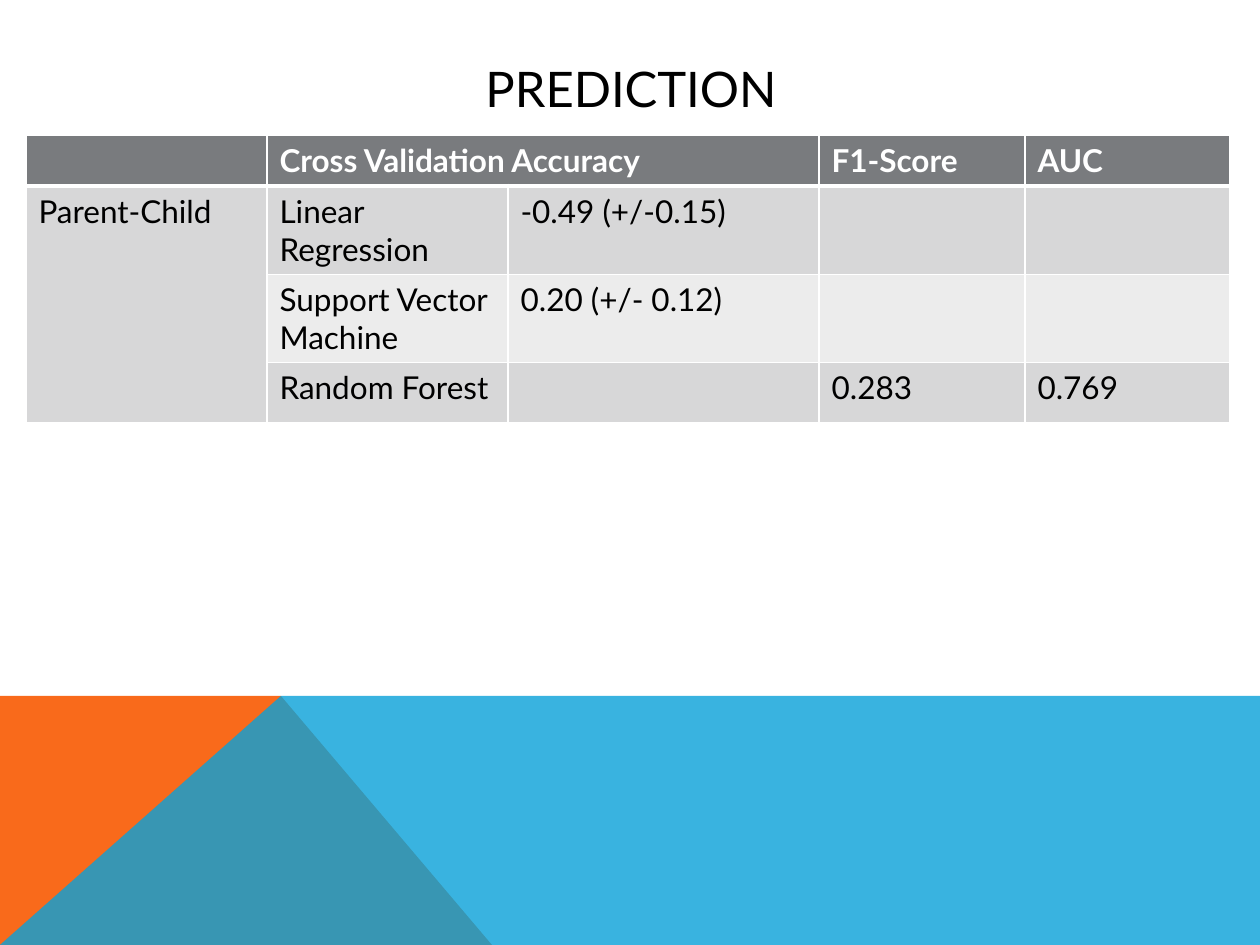
from lxml.etree import SubElement
from pptx import Presentation
from pptx.dml.color import RGBColor
from pptx.enum.text import MSO_ANCHOR, PP_ALIGN
from pptx.oxml.ns import qn
from pptx.util import Emu, Pt

SCALE = 914400 / 126
FONT = "Lato"
BLACK = RGBColor(0x00, 0x00, 0x00)
WHITE = RGBColor(0xFF, 0xFF, 0xFF)
ORANGE = RGBColor(0xF9, 0x6A, 0x1B)
BLUE = RGBColor(0x08, 0xA1, 0xD9)
HEADER = RGBColor(0x79, 0x7B, 0x7E)
BANDS = [RGBColor(0xD7, 0xD7, 0xD8), RGBColor(0xEC, 0xEC, 0xEC)]

TITLE = "PREDICTION"
TITLE_BOX = (113, 50, 1036, 76)
ROWS = [
    ["", "Cross Validation Accuracy", "", "F1-Score", "AUC"],
    ["Parent-Child", "Linear Regression", "-0.49 (+/-0.15)", "", ""],
    ["", "Support Vector Machine", "0.20 (+/- 0.12)", "", ""],
    ["", "Random Forest", "", "0.283", "0.769"],
]
MERGES = [((0, 1), (0, 2)), ((1, 0), (3, 0))]
TABLE_CORNER = (26, 135)
COLUMN_WIDTHS = [241, 241, 311, 206, 205]
ROW_HEIGHTS = [50, 88, 88, 60]
WEDGES = [
    ([(0, 945), (0, 696), (281, 696), (492, 945)], ORANGE, 100),
    ([(0, 945), (281, 696), (1260, 696), (1260, 945)], BLUE, 80),
]


def px(value):
    return Emu(round(value * SCALE))


def write(frame, text, size=18, color=BLACK, bold=False, align=PP_ALIGN.LEFT):
    para = frame.paragraphs[0]
    para.alignment = align
    span = para.add_run()
    span.text = text
    span.font.name = FONT
    span.font.size = Pt(size)
    span.font.bold = bold
    span.font.color.rgb = color


def draw_wedge(page, points, color, opacity):
    builder = page.shapes.build_freeform(*points[0], scale=SCALE)
    builder.add_line_segments(points[1:], close=True)
    wedge = builder.convert_to_shape()
    wedge.shadow.inherit = False
    wedge.line.fill.background()
    wedge.fill.solid()
    wedge.fill.fore_color.rgb = color
    if opacity < 100:
        tint = wedge.fill._xPr.find(qn("a:solidFill"))[0]
        SubElement(tint, qn("a:alpha"), val=str(opacity * 1000))


def style_cell(cell, color, bottom):
    properties = cell._tc.get_or_add_tcPr()
    for side, width in (("L", 1), ("R", 1), ("T", 1), ("B", bottom)):
        border = SubElement(properties, qn("a:ln" + side), w=str(Pt(width)))
        paint = SubElement(border, qn("a:solidFill"))
        SubElement(paint, qn("a:srgbClr"), val=str(WHITE))
    cell.fill.solid()
    cell.fill.fore_color.rgb = color


deck = Presentation()
deck.slide_width, deck.slide_height = px(1260), px(945)
page = deck.slides.add_slide(deck.slide_layouts[5])

for points, color, opacity in WEDGES:
    draw_wedge(page, points, color, opacity)

title = page.shapes.title
title.left, title.top, title.width, title.height = map(px, TITLE_BOX)
title.text_frame.vertical_anchor = MSO_ANCHOR.MIDDLE
write(title.text_frame, TITLE, size=28, align=PP_ALIGN.CENTER)

table = page.shapes.add_table(
    len(ROWS), len(COLUMN_WIDTHS), *map(px, TABLE_CORNER),
    px(sum(COLUMN_WIDTHS)), px(sum(ROW_HEIGHTS))).table
for column, width in zip(table.columns, COLUMN_WIDTHS):
    column.width = px(width)
for row, height in zip(table.rows, ROW_HEIGHTS):
    row.height = px(height)
for start, end in MERGES:
    table.cell(*start).merge(table.cell(*end))

for row_index, texts in enumerate(ROWS):
    is_header = row_index == 0
    fill = HEADER if is_header else BANDS[(row_index - 1) % 2]
    for column_index, text in enumerate(texts):
        cell = table.cell(row_index, column_index)
        style_cell(cell, fill, bottom=3 if is_header else 1)
        if text:
            write(cell.text_frame, text, color=WHITE if is_header else BLACK, bold=is_header)

deck.save("out.pptx")
